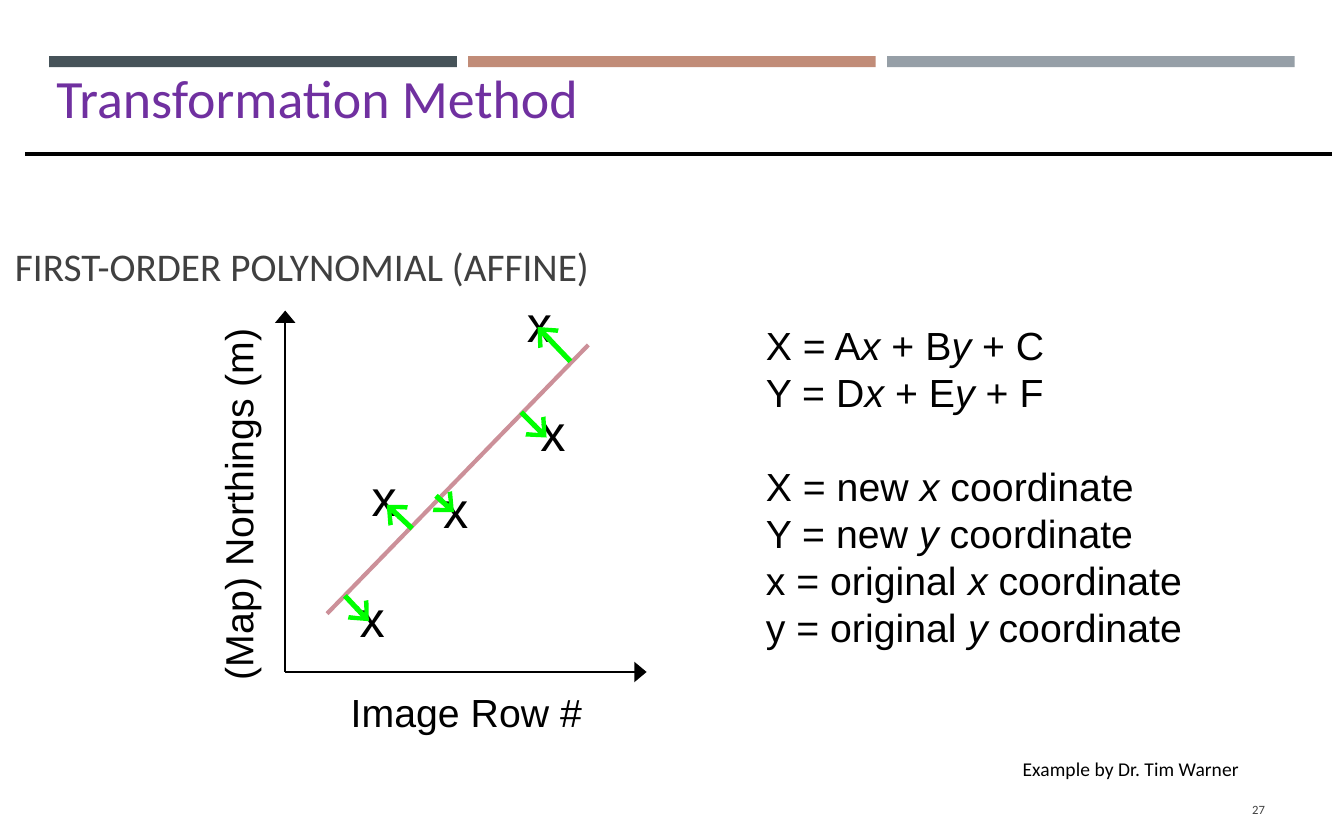
from dataclasses import dataclass

from lxml import etree
from pptx import Presentation
from pptx.dml.color import RGBColor
from pptx.enum.shapes import MSO_CONNECTOR, MSO_SHAPE
from pptx.enum.text import MSO_ANCHOR, MSO_AUTO_SIZE, PP_ALIGN
from pptx.oxml.ns import qn
from pptx.util import Emu, Pt

STRAIGHT, RECTANGLE = MSO_CONNECTOR.STRAIGHT, MSO_SHAPE.RECTANGLE
TOP, MIDDLE, BOTTOM = MSO_ANCHOR.TOP, MSO_ANCHOR.MIDDLE, MSO_ANCHOR.BOTTOM
LEFT, RIGHT = PP_ALIGN.LEFT, PP_ALIGN.RIGHT
GROW, FIXED = MSO_AUTO_SIZE.SHAPE_TO_FIT_TEXT, MSO_AUTO_SIZE.NONE

PX = 4572  # 200 px to the inch
COLORS = {
    "slate": "465359", "clay": "C18C78", "steel": "969FA7",
    "heading": "7030A0", "muted": "404040", "ink": "000000",
    "fit": "CC9099", "residual": "00FF00",
}


@dataclass
class Style:
    size: float
    color: str = "ink"
    font: str = "Arial"
    spacing: float = 1.0
    align: PP_ALIGN = LEFT
    anchor: MSO_ANCHOR = TOP
    grow: bool = True
    wrap: bool = False


@dataclass
class Label:
    text: str
    box: tuple[int, int, int, int]
    style: Style
    rotation: int = 0


@dataclass
class Line:
    start: tuple[int, int]
    end: tuple[int, int]
    color: str
    width: float
    arrow: str = ""


AXIS_STYLE = Style(18.9)
MARK_STYLE = Style(24.3)
SUBTITLE_STYLE = Style(18.9, "muted", "Calibri", anchor=BOTTOM, grow=False, wrap=True)
HEADING_STYLE = Style(26, "heading", "Calibri", anchor=MIDDLE, grow=False, wrap=True)
NUMBER_STYLE = Style(6.1, "muted", "Calibri", 1.0, RIGHT, MIDDLE, False, True)
CREDIT_STYLE = Style(9.45, "ink", "Calibri", 0.9, wrap=True)

# Asterisks enclose the italic variables
EQUATIONS = ["X = A*x* + B*y* + C", "Y = D*x* + E*y* + F"]
DEFINITIONS = [
    "X = new *x* coordinate", "Y = new *y* coordinate",
    "x = original *x* coordinate\ny = original *y* coordinate",
]
LABELS = [
    Label("27", (1558, 1054, 156, 60), NUMBER_STYLE),
    Label("Image Row #", (450, 912, 352, 84), AXIS_STYLE),
    Label("(Map) Northings (m)", (62, 632, 514, 84), AXIS_STYLE, 270),
    Label("Example by Dr. Tim Warner", (1350, 1008, 528, 48), CREDIT_STYLE),
    Label("Transformation Method", (56, 36, 1766, 188), HEADING_STYLE),
]
CONTROL_POINTS = [(478, 614), (704, 528), (462, 776), (686, 382), (574, 630)]

ORIGIN = (382, 900)
LINES = [
    Line(ORIGIN, (382, 416), "ink", 1, "triangle"),
    Line(ORIGIN, (866, 900), "ink", 1, "triangle"),
    Line((438, 822), (788, 462), "fit", 2),
    Line((34, 206), (1784, 206), "ink", 1.75),
]
# Each residual runs from the fitted line to a control point
RESIDUALS = [
    ((462, 798), (494, 832)), ((764, 484), (720, 438)),
    ((552, 708), (518, 676)), ((698, 552), (732, 586)),
    ((584, 664), (608, 686)),
]


def rgb(name: str) -> RGBColor:
    return RGBColor.from_string(COLORS[name])


def emu(lengths: tuple[int, ...]) -> list[Emu]:
    return [Emu(length * PX) for length in lengths]


def add_runs(paragraph, line: str, style: Style) -> None:
    for part, text in enumerate(line.split("*")):
        run = paragraph.add_run()
        run.text = text
        run.font.size = Pt(style.size)
        run.font.name = style.font
        run.font.italic = part % 2 == 1
        run.font.color.rgb = rgb(style.color)


def write(shape, texts: list[str], style: Style) -> None:
    frame = shape.text_frame
    frame.word_wrap = style.wrap
    frame.auto_size = GROW if style.grow else FIXED
    frame.vertical_anchor = style.anchor
    for index, text in enumerate(texts):
        paragraph = frame.add_paragraph() if index else frame.paragraphs[0]
        paragraph.alignment = style.align
        paragraph.line_spacing = style.spacing
        for row, line in enumerate(text.split("\n")):
            if row:
                paragraph.add_line_break()
            add_runs(paragraph, line, style)


def add_label(slide, label: Label) -> None:
    box = slide.shapes.add_textbox(*emu(label.box))
    box.rotation = label.rotation
    write(box, [label.text], label.style)


def add_line(slide, line: Line) -> None:
    connector = slide.shapes.add_connector(STRAIGHT, *emu(line.start + line.end))
    connector.line.color.rgb = rgb(line.color)
    connector.line.width = Pt(line.width)
    if line.arrow:
        outline = connector.line._get_or_add_ln()
        etree.SubElement(outline, qn("a:tailEnd"), type=line.arrow, w="lg", len="med")
    etree.SubElement(connector._element.spPr, qn("a:effectLst"))


def add_bar(slide, left: int, color: str) -> None:
    bar = slide.shapes.add_shape(RECTANGLE, *emu((left, 75, 546, 15)))
    bar.shadow.inherit = False
    bar.fill.solid()
    bar.fill.fore_color.rgb = rgb(color)
    bar.line.fill.background()


def main() -> None:
    deck = Presentation()
    deck.slide_width, deck.slide_height = emu((1800, 1125))
    slide = deck.slides.add_slide(deck.slide_layouts[5])

    # Top bars
    for column, color in enumerate(("slate", "clay", "steel")):
        add_bar(slide, 66 + 561 * column, color)

    # Topic title
    title = slide.shapes.title
    title.left, title.top, title.width, title.height = emu((0, 210, 1620, 188))
    write(title, ["FIRST-ORDER POLYNOMIAL (AFFINE)"], SUBTITLE_STYLE)

    # Equations, one line apart from their definitions
    formulas = slide.shapes.add_textbox(*emu((1006, 420, 602, 466)))
    write(formulas, EQUATIONS + DEFINITIONS, AXIS_STYLE)
    formulas.text_frame.paragraphs[len(EQUATIONS)].space_before = Pt(22.6)

    # Labels and control points
    for label in LABELS:
        add_label(slide, label)
    for left, top in CONTROL_POINTS:
        add_label(slide, Label("x", (left, top, 74, 102), MARK_STYLE))

    # Axes, fitted line, heading rule and residuals
    for line in LINES:
        add_line(slide, line)
    for start, end in RESIDUALS:
        add_line(slide, Line(start, end, "residual", 2.5, "arrow"))

    deck.save("out.pptx")


if __name__ == "__main__":
    main()
